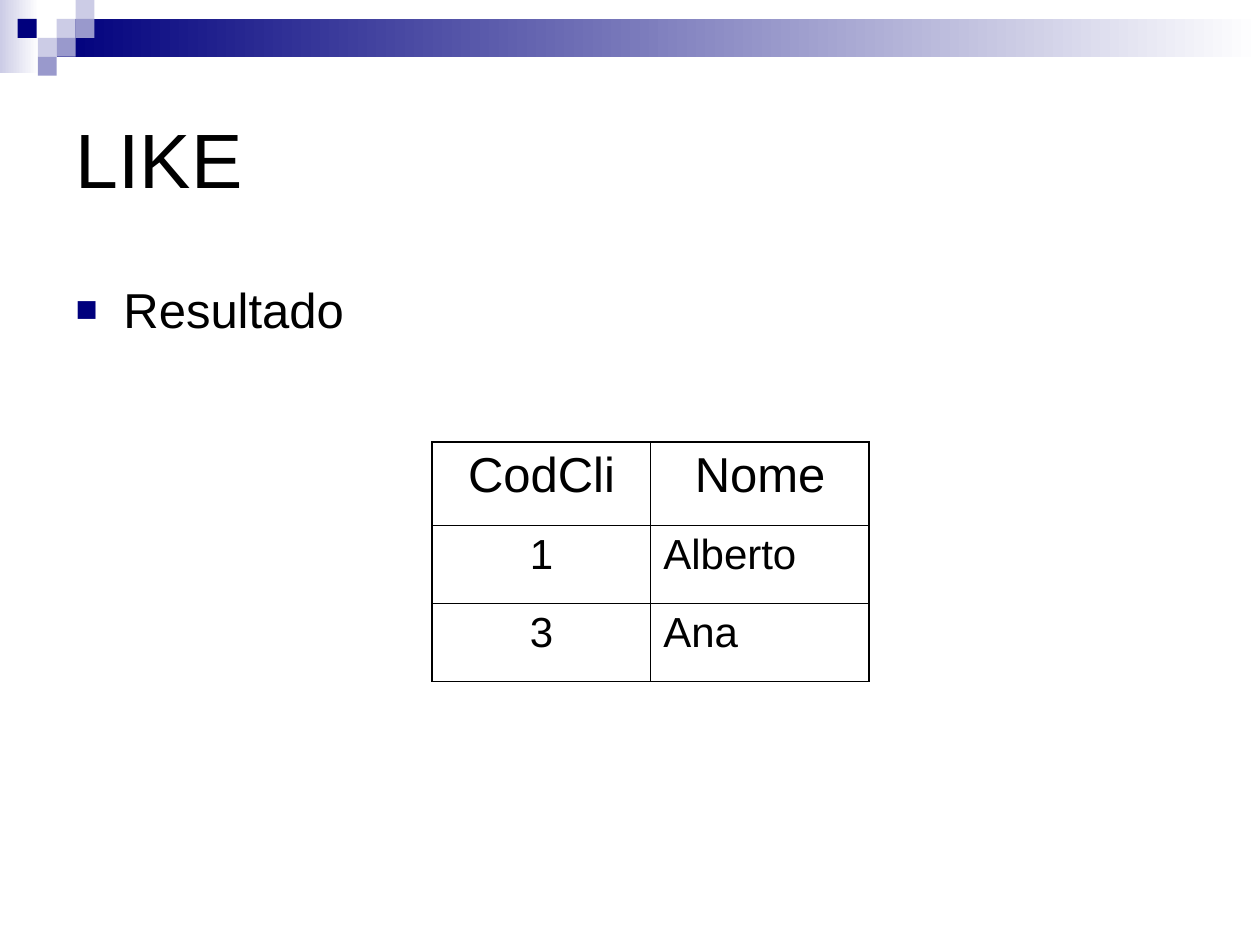
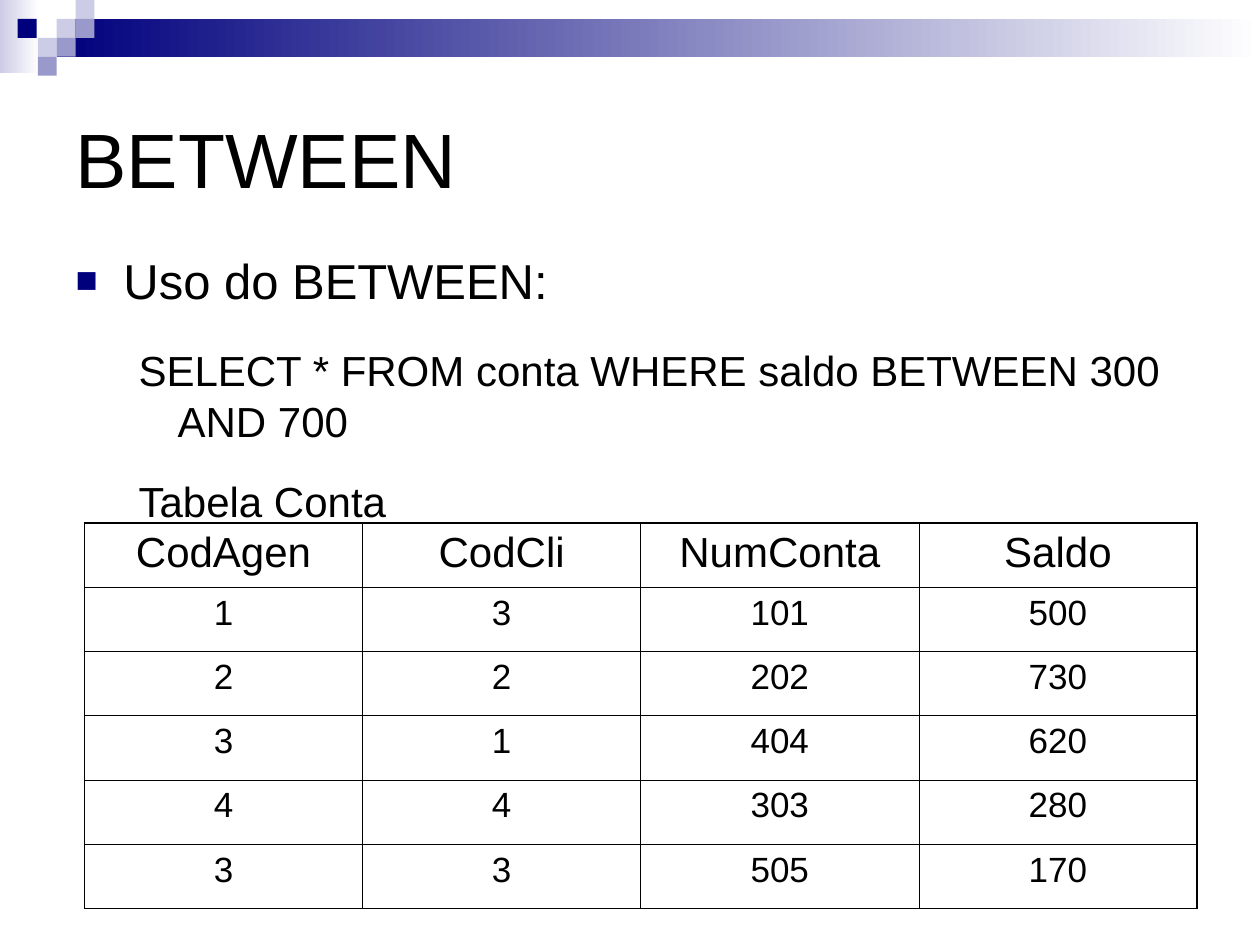
from lxml import etree
from pptx import Presentation
from pptx.dml.color import RGBColor
from pptx.enum.shapes import MSO_SHAPE
from pptx.enum.text import MSO_ANCHOR, MSO_AUTO_SIZE, PP_ALIGN
from pptx.oxml.ns import qn
from pptx.util import Inches, Pt

BLACK = RGBColor(0x00, 0x00, 0x00)
WHITE = RGBColor(0xFF, 0xFF, 0xFF)
NAVY = RGBColor(0x00, 0x00, 0x7D)
LILAC = RGBColor(0x99, 0x99, 0xCC)
PALE_LILAC = RGBColor(0xCC, 0xCC, 0xE6)
FONT = "Arial"
LEFT, CENTER = PP_ALIGN.LEFT, PP_ALIGN.CENTER
RECTANGLE = MSO_SHAPE.RECTANGLE
MIDDLE, TOP = MSO_ANCHOR.MIDDLE, MSO_ANCHOR.TOP
NO_AUTOFIT = MSO_AUTO_SIZE.NONE
OUTER_LINE, INNER_LINE = Pt(1.08), Pt(0.45)
SQUARE = 0.15

# left, top, width, height, colour, fades to white
BAND_PARTS = [
    (0, 0, 0.31, 0.58, PALE_LILAC, True),
    (0.45, 0.15, 9.55, 0.3, NAVY, True),
] + [
    (left, top, SQUARE, SQUARE, color, False)
    for left, top, color in [
        (0.45, 0.15, PALE_LILAC),
        (0.6, 0, PALE_LILAC),
        (0.6, 0.15, LILAC),
        (0.3, 0.3, PALE_LILAC),
        (0.14, 0.15, NAVY),
        (0.45, 0.3, LILAC),
        (0.3, 0.45, LILAC),
    ]
]

# Body lines: text, space before; the first line has the bullet
SLIDES = [
    {
        "title": "LIKE",
        "body_box": (0.5, 2.17, 9.07, 4.25),
        "body": [("Resultado", 0)],
        "table_box": (3.43, 3.51, 3.47, 1.9),
        "row_heights": [0.66, 0.62, 0.62],
        "sizes": (28, 24),
        "alignments": [CENTER, LEFT],
        "rows": [["CodCli", "Nome"], ["1", "Alberto"], ["3", "Ana"]],
    },
    {
        "title": "BETWEEN",
        "body_box": (0.5, 1.94, 8.99, 4.25),
        "body": [
            ("Uso do BETWEEN:", 0),
            ("SELECT * FROM conta WHERE saldo BETWEEN 300 AND 700", 20),
            ("Tabela Conta", 17),
        ],
        "table_box": (0.67, 4.15, 8.83, 3.06),
        "row_heights": [0.51] * 6,
        "sizes": (24, 20),
        "alignments": [CENTER] * 4,
        "rows": [
            ["CodAgen", "CodCli", "NumConta", "Saldo"],
            ["1", "3", "101", "500"],
            ["2", "2", "202", "730"],
            ["3", "1", "404", "620"],
            ["4", "4", "303", "280"],
            ["3", "3", "505", "170"],
        ],
    },
]


def write_text(paragraph, text, size, alignment=LEFT, before=0, level=0,
               indent=None, bullet=False):
    """Fill a paragraph; indent is (left margin, first line) in inches."""
    properties = paragraph._p.get_or_add_pPr()
    if indent:
        properties.set("marL", str(Inches(indent[0])))
        properties.set("indent", str(Inches(indent[1])))
        if bullet:
            color = etree.SubElement(properties, qn("a:buClr"))
            etree.SubElement(color, qn("a:srgbClr"), val=str(NAVY))
            etree.SubElement(properties, qn("a:buSzPct"), val="75000")
            etree.SubElement(properties, qn("a:buFont"), typeface=FONT)
            etree.SubElement(properties, qn("a:buChar"), char="■")
        else:
            etree.SubElement(properties, qn("a:buNone"))
    paragraph.level = level
    paragraph.alignment = alignment
    paragraph.space_before = Pt(before)
    run = paragraph.add_run()
    run.text = text
    run.font.name = FONT
    run.font.size = Pt(size)
    run.font.bold = False
    run.font.color.rgb = BLACK


def set_borders(cell, **widths):
    """Draw black cell borders, given as L, R, T and B widths."""
    properties = cell._tc.get_or_add_tcPr()
    for side, width in widths.items():
        line = etree.SubElement(properties, qn(f"a:ln{side}"), w=str(width))
        fill = etree.SubElement(line, qn("a:solidFill"))
        etree.SubElement(fill, qn("a:srgbClr"), val=str(BLACK))


presentation = Presentation()
presentation.slide_width = Inches(10)
presentation.slide_height = Inches(7.5)
layout = presentation.slide_layouts[1]
master = presentation.slide_master
slides = [presentation.slides.add_slide(layout) for _ in SLIDES]

# The band is drawn on the first slide, then moved to the shared master
for number, (left, top, width, height, color, fades) in enumerate(BAND_PARTS):
    shape = slides[0].shapes.add_shape(
        RECTANGLE, Inches(left), Inches(top), Inches(width), Inches(height))
    shape.name = f"Band {number + 1}"
    shape.shadow.inherit = False
    shape.line.fill.background()
    if fades:
        shape.fill.gradient()
        shape.fill.gradient_angle = 0
        for stop, stop_color in zip(shape.fill.gradient_stops, (color, WHITE)):
            stop.color.rgb = stop_color
    else:
        shape.fill.solid()
        shape.fill.fore_color.rgb = color
    shape.element.nvSpPr.cNvPr.id = 100 + number
    master.shapes.element.append(shape.element)

for slide, content in zip(slides, SLIDES):
    title, body = slide.shapes.title, slide.placeholders[1]
    for placeholder, box, anchor in [(title, (0.5, 0.5, 9, 1.5), MIDDLE),
                                     (body, content["body_box"], TOP)]:
        (placeholder.left, placeholder.top,
         placeholder.width, placeholder.height) = map(Inches, box)
        placeholder.text_frame.vertical_anchor = anchor
        placeholder.text_frame.auto_size = NO_AUTOFIT
        placeholder.text_frame.word_wrap = True
    write_text(title.text_frame.paragraphs[0], content["title"], 44)

    frame = body.text_frame
    for index, (text, before) in enumerate(content["body"]):
        if index == 0:
            write_text(frame.paragraphs[0], text, 28,
                       indent=(0.38, -0.38), bullet=True)
        else:
            write_text(frame.add_paragraph(), text, 24, before=before,
                       level=1, indent=(0.81, -0.31))

    rows = content["rows"]
    last_row, last_column = len(rows) - 1, len(rows[0]) - 1
    table = slide.shapes.add_table(
        len(rows), len(rows[0]), *map(Inches, content["table_box"])).table
    table.first_row = False
    table.horz_banding = False
    for row, height in zip(table.rows, content["row_heights"]):
        row.height = Inches(height)
    for r, values in enumerate(rows):
        for c, value in enumerate(values):
            cell = table.cell(r, c)
            header = r == 0
            write_text(cell.text_frame.paragraphs[0], value,
                       content["sizes"][0 if header else 1],
                       alignment=CENTER if header else content["alignments"][c])
            set_borders(cell,
                        L=OUTER_LINE if c == 0 else INNER_LINE,
                        R=OUTER_LINE if c == last_column else INNER_LINE,
                        T=OUTER_LINE if header else INNER_LINE,
                        B=OUTER_LINE if r == last_row else INNER_LINE)
            cell.fill.background()

presentation.save("out.pptx")
